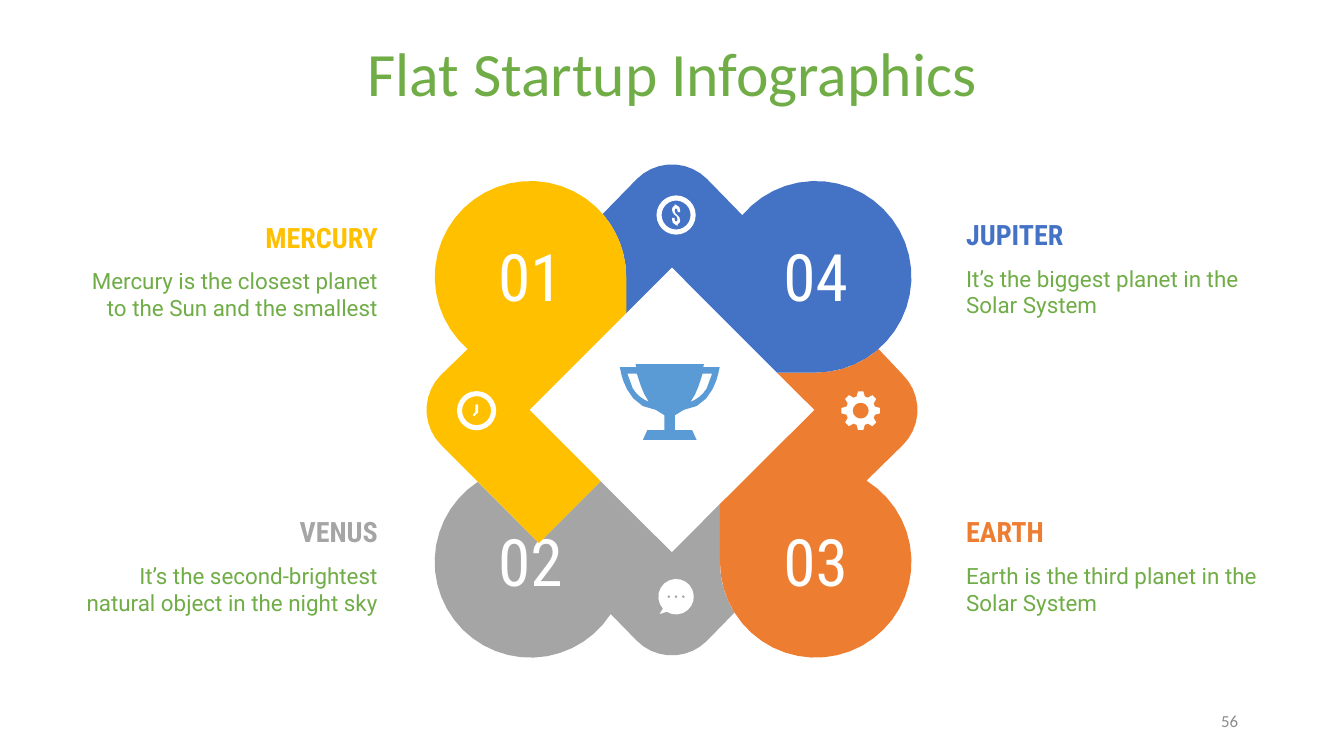
from math import ceil, cos, radians, sin, sqrt

from pptx import Presentation
from pptx.dml.color import RGBColor
from pptx.enum.shapes import MSO_SHAPE
from pptx.enum.text import MSO_ANCHOR, PP_ALIGN
from pptx.util import Pt

LEFT, CENTER, RIGHT = PP_ALIGN.LEFT, PP_ALIGN.CENTER, PP_ALIGN.RIGHT
TOP, MIDDLE = MSO_ANCHOR.TOP, MSO_ANCHOR.MIDDLE
DONUT = MSO_SHAPE.DONUT

COLORS = {
    "yellow": "FFC000", "gray": "A5A5A5", "orange": "ED7D31", "blue": "4472C4",
    "sky": "5B9BD5", "green": "70AD47", "white": "FFFFFF", "page": "8C8C8C",
}
CONDENSED = "Roboto Condensed"
NUMBER = {"name": CONDENSED, "size": Pt(35)}
HEADING = {"name": CONDENSED, "size": Pt(15), "bold": True}
BODY = {"name": "Roboto", "size": Pt(12)}
TITLE = {"name": "Calibri", "size": Pt(33)}
PAGE = {"name": "Calibri", "size": Pt(9)}

R, TIP_R = 51.3, 26.5                  # big circles and rounded tips
X1, X2, Y1, Y2 = 284.2, 437, 148.3, 301  # centres of the big circles
CX, CY, HALF, TIP = 360, 219.6, 76.3, 105  # white diamond, distance of the tips


def rgb(name):
    return RGBColor.from_string(COLORS[name])


def arc(cx, cy, r, start, end):
    """Points on a circle, with angles in degrees clockwise from the right."""
    n = ceil(radians(abs(end - start)) * sqrt(r))  # larger circles get finer steps
    angles = [radians(start + (end - start) * i / n) for i in range(n + 1)]
    return [(cx + r * cos(a), cy + r * sin(a)) for a in angles]


def bezier(p0, p1, p2, p3, n=4):
    """Points on a cubic curve."""
    points = []
    for i in range(n + 1):
        t = i / n
        weights = ((1 - t) ** 3, 3 * t * (1 - t) ** 2, 3 * t * t * (1 - t), t ** 3)
        points.append(tuple(sum(w * p[k] for w, p in zip(weights, (p0, p1, p2, p3)))
                            for k in (0, 1)))
    return points


def paint(sp, color):
    sp.shadow.inherit = False
    sp.fill.solid()
    sp.fill.fore_color.rgb = rgb(color)
    sp.line.fill.background()


def add_outline(s, color, *contours):
    """Filled outline; contours inside the first one are holes."""
    builder = None
    for contour in contours:
        points = [(Pt(x), Pt(y)) for x, y in contour]
        if builder is None:
            builder = s.shapes.build_freeform(*points[0])
        else:
            builder.move_to(*points[0])
        builder.add_line_segments(points[1:], close=True)
    paint(builder.convert_to_shape(), color)


def add_text(s, text, box, color, font, align=LEFT, anchor=TOP, inset=7.2, spacing=None):
    tf = s.shapes.add_textbox(*map(Pt, box)).text_frame
    tf.word_wrap = True
    tf.vertical_anchor = anchor
    tf.margin_left = tf.margin_right = Pt(7.2)
    tf.margin_top = tf.margin_bottom = Pt(inset)
    p = tf.paragraphs[0]
    p.alignment, p.line_spacing = align, spacing
    r = p.add_run()
    r.text = text
    for key, value in font.items():
        setattr(r.font, key, value)
    r.font.color.rgb = rgb(color)


def add_step(s, color, outline, number, cx, cy, heading, body, top, align):
    add_outline(s, color, outline)
    add_text(s, number, (cx - R, cy - 28.8, 2 * R, 37.4), "white", NUMBER, CENTER)
    x = 36 if align == RIGHT else 510.5
    add_text(s, body, (x, top + 25.2, 173.5, 43.9), "green", BODY, align)
    add_text(s, heading, (x, top, 173.5, 27.4), color, HEADING, align)


def add_ring(s, cx, cy, r=10.5):
    sp = s.shapes.add_shape(DONUT, Pt(cx - r), Pt(cy - r), Pt(2 * r), Pt(2 * r))
    sp.adjustments[0] = 0.13
    paint(sp, "white")


def add_clock(s, cx, cy):
    add_ring(s, cx, cy)
    hand = [(-0.6, -3), (0.2, -3.5), (0.8, -3), (0.8, 1), (-1.4, 3), (-2, 2.4), (-0.6, 0.6)]
    add_outline(s, "white", [(cx + x, cy + y) for x, y in hand])


def add_dollar(s, cx, cy):
    add_ring(s, cx, cy)
    half = [(-0.8, -5.8), (-0.8, -4.9), (-1.8, -4.3), (-2.2, -2.9)]
    half += bezier((-2.2, -2.9), (-2.2, 0), (0.8, 0), (0.8, 2.2))[1:]
    half += [(0.6, 3.2), (0, 3.5), (-0.6, 3.2), (-0.8, 2.2), (-0.8, 1.5), (-2.2, 1.5),
             (-2.2, 2.2), (-1.8, 4.1), (-0.8, 4.9)]
    sign = half + [(-x, -y) for x, y in half]
    add_outline(s, "white", [(cx + x, cy + y) for x, y in sign])


def add_gear(s, cx, cy):
    teeth = []
    for a in range(0, 360, 45):
        teeth += arc(cx, cy, 10.4, a - 8, a + 8) + arc(cx, cy, 7.9, a + 16, a + 29)
    add_outline(s, "white", teeth, arc(cx, cy, 4.3, 360, 0))


def add_chat(s, cx, cy):
    bubble = arc(cx, cy, 9.5, 138, 482) + [(cx - 8.8, cy + 9.3)]
    dots = [arc(cx + dx, cy, 0.75, 360, 0) for dx in (-3.9, 0, 3.9)]
    add_outline(s, "white", bubble, *dots)


def add_trophy(s, cx):
    def mirrored(points):
        return [(cx - x, y) for x, y in reversed(points)]

    side = [(18.3, 195.1), (18, 196.7), (26.8, 196.7)]
    side += bezier((26.3, 198.7), (26.3, 198.7), (23.4, 218.2), (7.5, 219.6), 6)
    side += [(2.8, 222.5), (2.8, 230.4), (12, 230.4), (14.4, 235.7)]
    handle = [(22.7, 200.2)]
    handle += bezier((19.8, 208.1), (17.6, 211.7), (14.8, 213.8), (11.2, 215.3))
    handle += bezier((11.2, 215.3), (14.8, 210.2), (16.2, 204.5), (17.6, 200.2))[1:]
    right, hole = ([(cx + x, y) for x, y in half] for half in (side, handle))
    add_outline(s, "sky", right + mirrored(side), hole, mirrored(handle))


def main():
    prs = Presentation()
    prs.slide_width, prs.slide_height = Pt(720), Pt(405)
    s = prs.slides.add_slide(prs.slide_layouts[6])

    top, bottom = (CX, CY - HALF), (CX, CY + HALF)
    left, right = (CX - HALF, CY), (CX + HALF, CY)
    gray_yellow = [(321.8, 257.8), (288.7, 290.9)]
    yellow_blue, blue_orange, orange_gray = (335.5, 167.8), (416.2, 199.6), (385.7, 270)

    gray = (gray_yellow + [(256.3, 258.5)] + arc(X1, Y2, R, 237, 33)
            + arc(CX, CY + TIP, TIP_R, 135, 45) + arc(X2, Y2, R, 148, 180)
            + [orange_gray, bottom])
    orange = (arc(X2, Y1, R, 49, 90) + [blue_orange, right, orange_gray]
              + arc(X2, Y2, R, 180, -58) + arc(CX + TIP, CY, TIP_R, 45, -45))
    blue = (arc(CX, CY - TIP, TIP_R, 225, 315) + arc(X2, Y1, R, 220, 450)
            + [blue_orange, top, yellow_blue] + arc(X1, Y1, R, 0, -41))
    yellow = (arc(X1, Y1, R, 131, 360) + [yellow_blue, left] + gray_yellow
              + arc(CX - TIP, CY, TIP_R, 135, 225))

    steps = [
        ("gray", gray, "02", X1, Y2, "VENUS",
         "It’s the second-brightest natural object in the night sky", 268.6, RIGHT),
        ("orange", orange, "03", X2, Y2, "EARTH",
         "Earth is the third planet in the Solar System", 268.6, LEFT),
        ("blue", blue, "04", X2, Y1, "JUPITER",
         "It’s the biggest planet in the Solar System", 109.4, LEFT),
        ("yellow", yellow, "01", X1, Y1, "MERCURY",
         "Mercury is the closest planet to the Sun and the smallest", 110.9, RIGHT),
    ]
    for step in steps:
        add_step(s, *step)

    add_text(s, "Flat Startup Infographics", (182.2, 15.8, 355.7, 49), "green", TITLE,
             CENTER, spacing=0.9)
    add_text(s, "56", (508.3, 375.1, 162, 21.6), "page", PAGE, RIGHT, MIDDLE, inset=3.6)

    add_gear(s, 461.1, 220)
    add_chat(s, 362.2, 319.7)
    add_clock(s, 255.3, 220)
    add_dollar(s, 362.2, 115.2)
    add_trophy(s, 358.8)
    prs.save("out.pptx")


if __name__ == "__main__":
    main()
